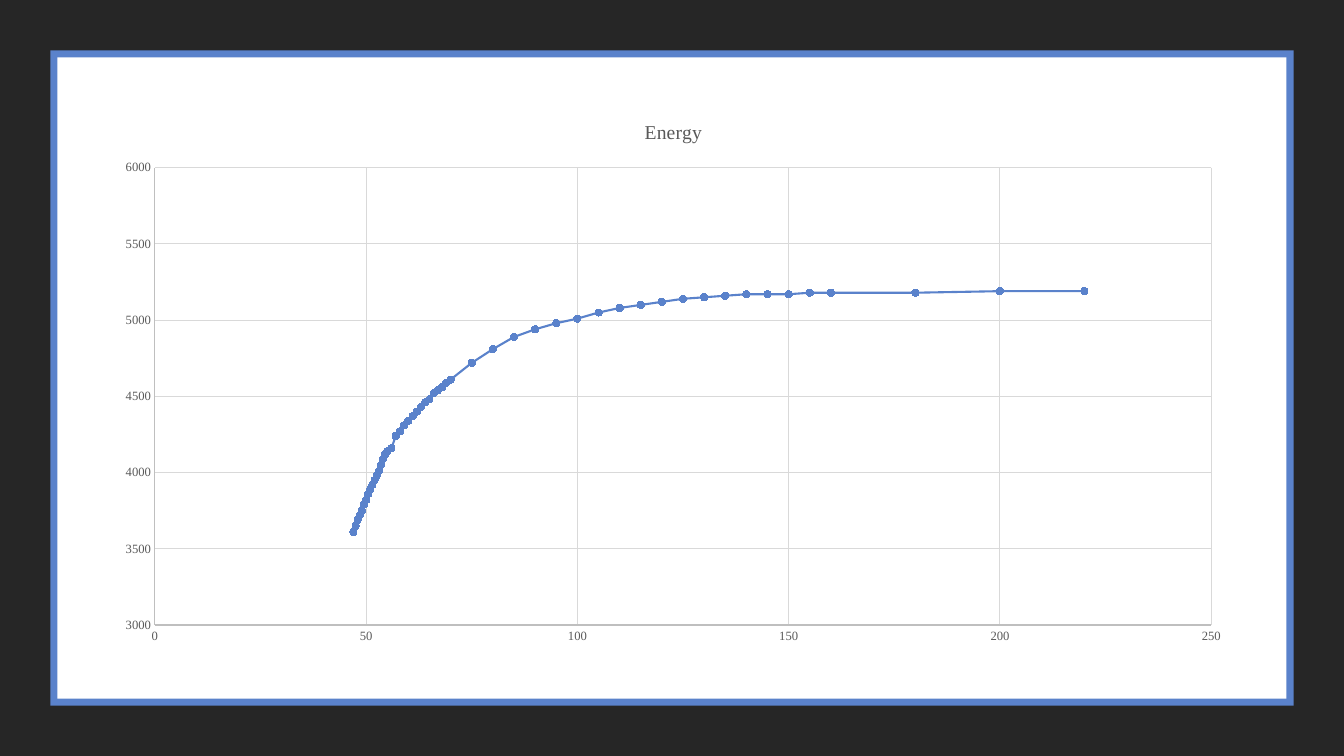
from lxml import etree
from pptx import Presentation
from pptx.chart.data import XyChartData
from pptx.dml.color import RGBColor
from pptx.enum.chart import XL_CHART_TYPE, XL_MARKER_STYLE, XL_TICK_LABEL_POSITION, XL_TICK_MARK
from pptx.enum.shapes import MSO_SHAPE
from pptx.oxml import parse_xml
from pptx.oxml.ns import nsdecls
from pptx.util import Pt

DARK = RGBColor(0x26, 0x26, 0x26)
BLUE = RGBColor(0x5A, 0x82, 0xCB)
WHITE = RGBColor(0xFF, 0xFF, 0xFF)
BLACK = RGBColor(0, 0, 0)
TEXT_GREY = RGBColor(0x59, 0x59, 0x59)
AXIS_GREY = RGBColor(0xBF, 0xBF, 0xBF)
GRID_GREY = RGBColor(0xD9, 0xD9, 0xD9)
FONT = "Times New Roman"


def style_font(font, size, color):
    font.name = FONT
    font.size = Pt(size)
    font.bold = False
    font.color.rgb = color


def style_line(line, color, width):
    line.color.rgb = color
    line.width = Pt(width)


deck = Presentation()
deck.slide_width, deck.slide_height = Pt(960), Pt(540)
page = deck.slides.add_slide(deck.slide_layouts[6])

# Nested panels: dark surround, blue frame, white sheet
for inset, color in ((0, DARK), (36, BLUE), (41, WHITE)):
    panel = page.shapes.add_shape(
        MSO_SHAPE.RECTANGLE, Pt(inset), Pt(inset), Pt(960 - 2 * inset), Pt(540 - 2 * inset))
    panel.shadow.inherit = False
    panel.fill.solid()
    panel.fill.fore_color.rgb = color
    panel.line.fill.background()

# Sample points get sparser as the curve flattens
positions = [47 + step / 2 for step in range(17)]
positions += [*range(56, 71), *range(75, 161, 5), 180, 200, 220]
energies = [
    3610, 3650, 3690, 3720, 3750, 3790, 3820, 3860, 3890, 3920, 3950, 3980, 4010, 4050,
    4090, 4120, 4140, 4160, 4240, 4270, 4310, 4340, 4370, 4400, 4430, 4460, 4480, 4520,
    4540, 4560, 4590, 4610, 4720, 4810, 4890, 4940, 4980, 5010, 5050, 5080, 5100, 5120,
    5140, 5150, 5160, 5170, 5170, 5170, 5180, 5180, 5180, 5190, 5190]

data = XyChartData()
energy_data = data.add_series("Energy")
for position, energy in zip(positions, energies):
    energy_data.add_data_point(position, energy)

chart = page.shapes.add_chart(
    XL_CHART_TYPE.XY_SCATTER_SMOOTH, Pt(74), Pt(71), Pt(814), Pt(397), data).chart
style_font(chart.font, 10, BLACK)
chart.has_legend = False
chart.plots[0].vary_by_categories = False

chart.has_title = True
title = chart.chart_title
title.include_in_layout = False
span = title.text_frame.paragraphs[0].add_run()
span.text = "Energy"
style_font(span.font, 14, TEXT_GREY)

for axis, low, high, unit in ((chart.category_axis, 0, 250, 50),
                              (chart.value_axis, 3000, 6000, 500)):
    axis.minimum_scale, axis.maximum_scale, axis.major_unit = low, high, unit
    axis.major_tick_mark = axis.minor_tick_mark = XL_TICK_MARK.NONE
    axis.tick_label_position = XL_TICK_LABEL_POSITION.NEXT_TO_AXIS
    axis.tick_labels.number_format = "General"
    axis.tick_labels.number_format_is_linked = False
    style_font(axis.tick_labels.font, 9, TEXT_GREY)
    style_line(axis.format.line, AXIS_GREY, 0.75)
    axis.has_major_gridlines = True
    style_line(axis.major_gridlines.format.line, GRID_GREY, 0.75)

curve = chart.plots[0].series[0]
curve.smooth = True
style_line(curve.format.line, BLUE, 1.5)
curve.marker.style = XL_MARKER_STYLE.CIRCLE
curve.marker.size = 5
curve.marker.format.fill.solid()
curve.marker.format.fill.fore_color.rgb = BLUE
style_line(curve.marker.format.line, BLUE, 0.75)

# Fix the inner plot area as fractions of the chart frame
plot_area = chart.element.chart.plotArea
for old_layout in plot_area.findall("c:layout", plot_area.nsmap):
    plot_area.remove(old_layout)
layout = parse_xml(f'<c:layout {nsdecls("c")}><c:manualLayout/></c:layout>')
settings = (("layoutTarget", "inner"), ("xMode", "edge"), ("yMode", "edge"),
            ("x", "0.045"), ("y", "0.123"), ("w", "0.927"), ("h", "0.823"))
for name, value in settings:
    tag = "{" + layout.nsmap["c"] + "}" + name
    etree.SubElement(layout[0], tag).set("val", value)
plot_area.insert(0, layout)

deck.save("out.pptx")
